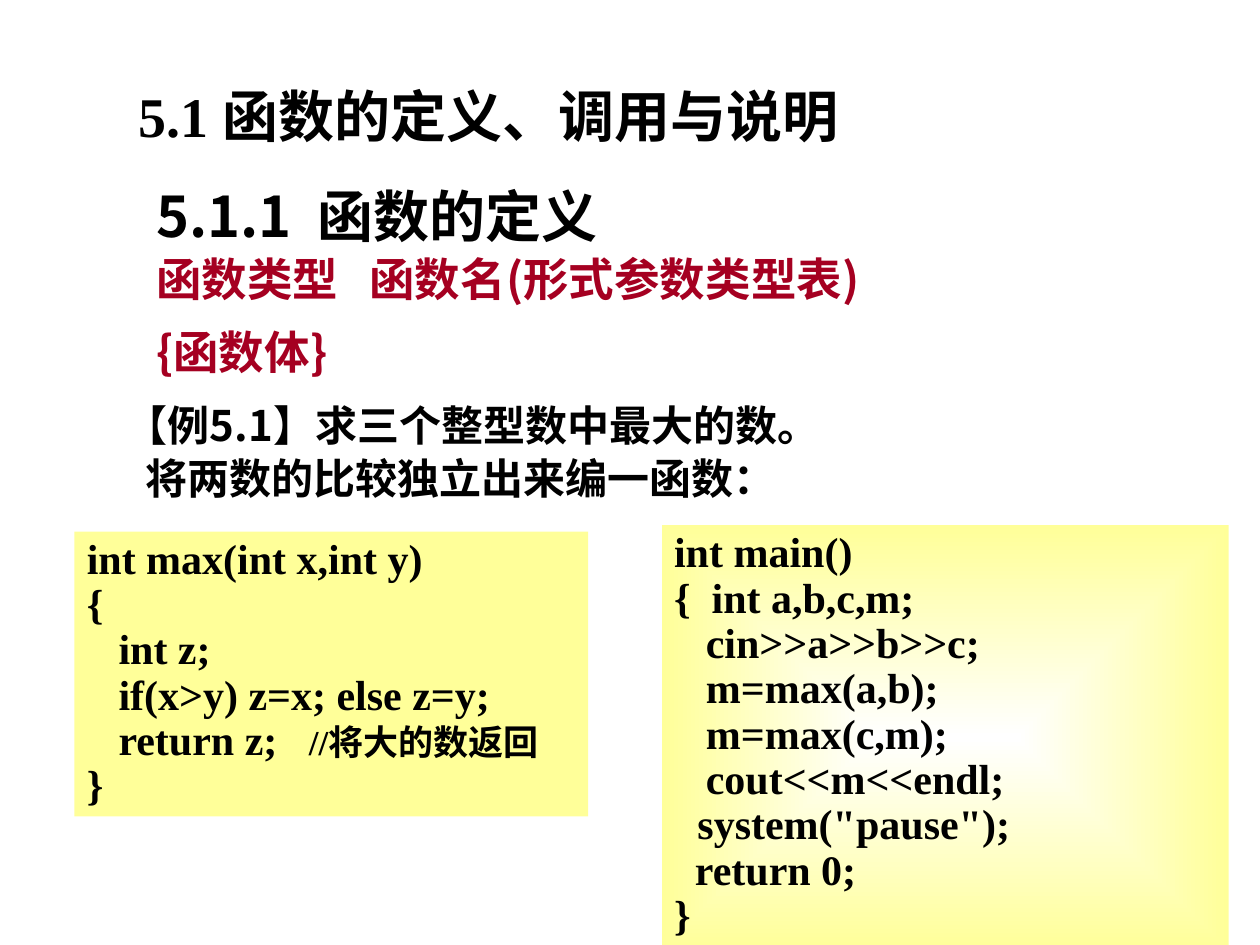
from lxml.etree import SubElement
from pptx import Presentation
from pptx.dml.color import RGBColor
from pptx.enum.shapes import MSO_SHAPE
from pptx.enum.text import MSO_ANCHOR, MSO_AUTO_SIZE, PP_ALIGN
from pptx.oxml.ns import qn
from pptx.util import Cm, Pt

COLORS = {"text": "000000", "syntax": "A50021", "code": "FFFF99", "glow": "FFFFFF"}
SANS, SERIF = "Noto Sans CJK SC", "Times New Roman"


def style_run(span, size, font, color="text"):
    span.font.size = Pt(size)
    span.font.bold = True
    span.font.name = font
    span.font.color.rgb = RGBColor.from_string(COLORS[color])
    east_asian = SubElement(span.font._element, qn("a:ea"))
    east_asian.set("typeface", SANS)


def indent(para, distance):
    para._p.get_or_add_pPr().set("marL", str(int(distance)))


deck = Presentation()
deck.slide_width, deck.slide_height = Cm(25.4), Cm(19.05)
page = deck.slides.add_slide(deck.slide_layouts[6])

# Headings and explanations:
# lines, (left, top, width, height), size, font, color, line spacing, space before, indent
texts = [
    (["5.1.1  函数的定义"], (2.9, 3.53, 10.11, 1.6), 32, SANS, "text", 1, 0, 0),
    (["函数类型   函数名(形式参数类型表)", "{函数体}"],
     (2.9, 4.72, 19.05, 3.07), 26, SANS, "syntax", 1.2, 4, 0),
    (["将两数的比较独立出来编一函数："],
     (2.69, 9.12, 15.72, 1.7), 24, SANS, "text", 0.9, 5, 0),
    (["【例5.1】求三个整型数中最大的数。"],
     (2.29, 7.92, 21.03, 1.27), 24, SANS, "text", 1, 12, 0),
    (["5.1 函数的定义、调用与说明"],
     (0, 1.52, 21.39, 1.6), 32, SERIF, "text", 1, 0, 2.54),
]
for lines, place, size, font, color, spacing, before, margin in texts:
    box = page.shapes.add_textbox(*[Cm(length) for length in place])
    frame = box.text_frame
    frame.word_wrap = True
    frame.text = "\n".join(lines)
    for para in frame.paragraphs:
        para.line_spacing = spacing
        para.space_before = Pt(before)
        indent(para, Cm(margin))
        style_run(para.runs[0], size, font, color)

# Code panels: each line is (indent in cm, code, comment)
max_code = [
    (0, "int max(int x,int y)", ""),
    (0, "{", ""),
    (0.64, "int z;", ""),
    (0.64, "if(x>y) z=x; else z=y;", ""),
    (0.64, "return z;   ", "//将大的数返回"),
    (0, "}", ""),
]
main_code = [
    (0, "int main()", ""),
    (0, "{  int a,b,c,m;", ""),
    (0.64, "cin>>a>>b>>c;", ""),
    (0.64, "m=max(a,b);", ""),
    (0.64, "m=max(c,m);", ""),
    (0.64, "cout<<m<<endl;", ""),
    (0.47, 'system("pause");', ""),
    (0.42, "return 0;", ""),
    (0, "}", ""),
]
panels = [
    (max_code, (1.5, 10.72, 10.36, 5.74), PP_ALIGN.LEFT, False),
    (main_code, (13.34, 10.59, 11.43, 8.56), PP_ALIGN.JUSTIFY, True),
]
for code_lines, place, alignment, glowing in panels:
    panel = page.shapes.add_shape(MSO_SHAPE.RECTANGLE, *[Cm(length) for length in place])
    panel.shadow.inherit = False
    panel.line.fill.background()
    if glowing:
        panel.fill.gradient()
        for stop, name in zip(panel.fill.gradient_stops, ("glow", "code")):
            stop.color.rgb = RGBColor.from_string(COLORS[name])
        gradient = panel._element.spPr.find(qn("a:gradFill"))
        gradient.remove(gradient.find(qn("a:lin")))
        shade = SubElement(gradient, qn("a:path"), {"path": "shape"})
        SubElement(shade, qn("a:fillToRect"), dict.fromkeys("ltrb", "50000"))
    else:
        panel.fill.solid()
        panel.fill.fore_color.rgb = RGBColor.from_string(COLORS["code"])

    frame = panel.text_frame
    frame.word_wrap = True
    frame.auto_size = MSO_AUTO_SIZE.SHAPE_TO_FIT_TEXT
    frame.vertical_anchor = MSO_ANCHOR.TOP
    frame.text = "\n".join(code for _, code, _ in code_lines)
    for para, (margin, _, comment) in zip(frame.paragraphs, code_lines):
        para.alignment = alignment
        para.line_spacing = 0.9
        indent(para, Cm(margin))
        style_run(para.runs[0], 24, SERIF)
        if comment:
            span = para.add_run()
            span.text = comment
            style_run(span, 20, SERIF)

deck.save("out.pptx")
